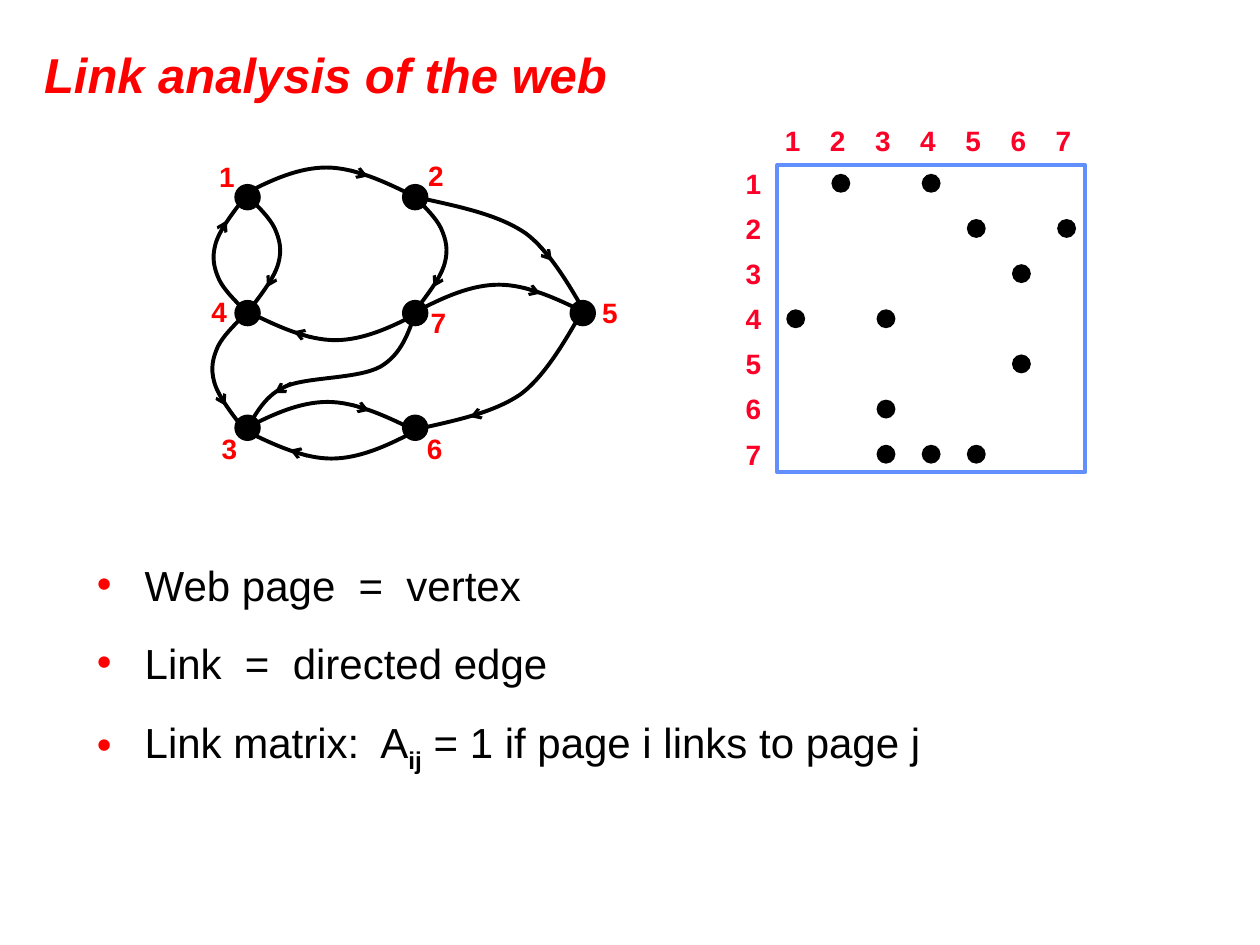
from dataclasses import dataclass

from lxml.etree import SubElement
from pptx import Presentation
from pptx.dml.color import RGBColor
from pptx.enum.shapes import MSO_CONNECTOR, MSO_SHAPE
from pptx.enum.text import MSO_ANCHOR, PP_ALIGN
from pptx.oxml.ns import qn
from pptx.util import Inches, Pt


@dataclass(frozen=True)
class Theme:
    font = "Arial"
    red = RGBColor(0xFF, 0x00, 0x00)
    matrix_red = RGBColor(0xFC, 0x01, 0x28)
    black = RGBColor(0x00, 0x00, 0x00)
    frame_blue = RGBColor(0x61, 0x8F, 0xFD)
    title_size = Pt(28)
    body_size = Pt(24)
    label_size = Pt(16)


theme = Theme()
presentation = Presentation()
presentation.slide_width, presentation.slide_height = Inches(10), Inches(7.5)
slide = presentation.slides.add_slide(presentation.slide_layouts[5])
shapes = slide.shapes


def add_label(text, left, top, color):
    label = shapes.add_textbox(Inches(left), Inches(top), Inches(0.32), Inches(0.37))
    label.text_frame.word_wrap = False
    paragraph = label.text_frame.paragraphs[0]
    paragraph.text = text
    paragraph.alignment = PP_ALIGN.CENTER
    paragraph.font.name = theme.font
    paragraph.font.size = theme.label_size
    paragraph.font.bold = True
    paragraph.font.color.rgb = color


def add_dot(left, top, size):
    dot = shapes.add_shape(MSO_SHAPE.OVAL, Inches(left), Inches(top), Inches(size), Inches(size))
    dot.shadow.inherit = False
    dot.fill.solid()
    dot.fill.fore_color.rgb = theme.black
    dot.line.fill.background()


# Title
title = shapes.title
title.left, title.top = Inches(0.25), Inches(0.25)
title.width, title.height = Inches(9.75), Inches(0.67)
title.text_frame.vertical_anchor = MSO_ANCHOR.MIDDLE
paragraph = title.text_frame.paragraphs[0]
paragraph.text = "Link analysis of the web"
paragraph.alignment = PP_ALIGN.LEFT
paragraph.font.name = theme.font
paragraph.font.size = theme.title_size
paragraph.font.bold = paragraph.font.italic = True
paragraph.font.color.rgb = theme.red

# Definitions: each bullet is a list of (text, is subscript)
bullets = [
    [("Web page  =  vertex", False)],
    [("Link  =  directed edge", False)],
    [("Link matrix:  A", False), ("ij", True), (" = 1 if page i links to page j", False)],
]
body = shapes.add_textbox(Inches(0.67), Inches(4.27), Inches(8.25), Inches(3))
body.text_frame.word_wrap = True
for index, pieces in enumerate(bullets):
    paragraph = body.text_frame.paragraphs[0] if index == 0 else body.text_frame.add_paragraph()
    paragraph.line_spacing = 1.3
    if index:
        paragraph.space_before = Pt(7)
    properties = paragraph._p.get_or_add_pPr()
    properties.set("marL", str(Inches(0.38)))
    properties.set("indent", str(Inches(-0.38)))
    bullet_color = SubElement(properties, qn("a:buClr"))
    SubElement(bullet_color, qn("a:srgbClr"), val=str(theme.red))
    SubElement(properties, qn("a:buFont"), typeface=theme.font)
    SubElement(properties, qn("a:buChar"), char="•")
    paragraph.font.name = theme.font
    paragraph.font.size = theme.body_size
    paragraph.font.color.rgb = theme.black
    for text, is_subscript in pieces:
        run = paragraph.add_run()
        run.text = text
        if is_subscript:
            run.font.bold = True
            run.font._element.set("baseline", "-25000")

# Graph vertices: dot position, then label position
vertices = {
    "1": (1.86, 1.46, 1.64, 1.22),
    "2": (3.19, 1.46, 3.30, 1.21),
    "3": (1.86, 3.29, 1.66, 3.38),
    "4": (1.86, 2.38, 1.58, 2.29),
    "5": (4.52, 2.38, 4.68, 2.30),
    "6": (3.19, 3.29, 3.29, 3.38),
    "7": (3.19, 2.38, 3.32, 2.38),
}
for name, (dot_left, dot_top, label_left, label_top) in vertices.items():
    add_dot(dot_left, dot_top, 0.21)
    add_label(name, label_left, label_top, theme.red)

# Bezier control points and arrow ends, as offsets from the start of an edge
arch = [(0.21, -0.11), (0.43, -0.21), (0.65, -0.21), (0.87, -0.21), (1.11, -0.1), (1.35, 0.02)]
arch_arrow = [(0.84, -0.19), (0.98, -0.14)]
bow = [(0.08, 0.08), (0.16, 0.16), (0.2, 0.24), (0.24, 0.33), (0.26, 0.41),
       (0.23, 0.52), (0.2, 0.63), (0.1, 0.76), (0, 0.89)]
bow_arrow = [(0.21, 0.58), (0.14, 0.71)]
sweep = [(-0.07, 0.11), (-0.26, 0.48), (-0.48, 0.64), (-0.7, 0.79), (-1.01, 0.85), (-1.32, 0.92)]
wave = [(0.05, -0.05), (0.12, -0.24), (0.3, -0.32), (0.47, -0.4), (0.88, -0.38),
        (1.06, -0.48), (1.23, -0.58), (1.28, -0.75), (1.34, -0.91)]

# Start point, horizontal and vertical direction, curve, arrow
edges = [
    (1.94, 1.54, 1, 1, arch, arch_arrow),
    (3.31, 2.47, 1, 1, arch, arch_arrow),
    (1.95, 3.40, 1, 1, arch, arch_arrow),
    (3.28, 3.43, -1, -1, arch, arch_arrow),
    (3.31, 2.49, -1, -1, arch, arch_arrow),
    (1.94, 2.46, -1, -1, bow, bow_arrow),
    (1.93, 2.51, -1, 1, bow, bow_arrow),
    (1.98, 1.57, 1, 1, bow, bow_arrow),
    (3.30, 1.57, 1, 1, bow, bow_arrow),
    (1.96, 3.39, 1, 1, wave, [(0.35, -0.35), (0.22, -0.27)]),
    (4.61, 2.49, 1, 1, sweep, [(-0.74, 0.77), (-0.88, 0.82)]),
    (4.65, 2.49, 1, -1, sweep, [(-0.37, 0.54), (-0.27, 0.42)]),
]
for start_x, start_y, direction_x, direction_y, curve, arrow in edges:
    curve_points, arrow_points = (
        [(Inches(start_x + direction_x * x), Inches(start_y + direction_y * y)) for x, y in offsets]
        for offsets in (curve, arrow)
    )
    builder = shapes.build_freeform(Inches(start_x), Inches(start_y))
    builder.add_line_segments(curve_points, close=False)
    edge = builder.convert_to_shape()
    edge.shadow.inherit = False
    edge.fill.background()
    edge.line.color.rgb = theme.black
    edge.line.width = Pt(2.25)
    # Every three straight segments become one cubic Bezier segment
    segments = list(edge._element.iter(qn("a:lnTo")))
    outline = segments[0].getparent()
    for first in range(0, len(segments), 3):
        bezier = SubElement(outline, qn("a:cubicBezTo"))
        for segment in segments[first:first + 3]:
            bezier.append(segment[0])
            outline.remove(segment)

    arrowhead = shapes.add_connector(MSO_CONNECTOR.STRAIGHT, *arrow_points[0], *arrow_points[1])
    arrowhead.line.color.rgb = theme.black
    arrowhead.line.width = Pt(1.75)
    SubElement(arrowhead.line._get_or_add_ln(), qn("a:tailEnd"), type="arrow")
    SubElement(arrowhead._element.spPr, qn("a:effectLst"))

# Link matrix
frame = shapes.add_shape(MSO_SHAPE.RECTANGLE, Inches(6.17), Inches(1.31), Inches(2.44), Inches(2.44))
frame.shadow.inherit = False
frame.fill.background()
frame.line.color.rgb = theme.frame_blue
frame.line.width = Pt(2.25)

pitch = 2.15 / 6
links = {1: [2, 4], 2: [5, 7], 3: [6], 4: [1, 3], 5: [6], 6: [3], 7: [3, 4, 5]}
for page, targets in links.items():
    offset = (page - 1) * pitch
    add_label(str(page), 6.13 + offset, 0.93, theme.matrix_red)
    add_label(str(page), 5.82, 1.27 + offset, theme.matrix_red)
    for target in targets:
        add_dot(6.24 + (target - 1) * pitch, 1.38 + offset, 0.15)

presentation.save("out.pptx")
